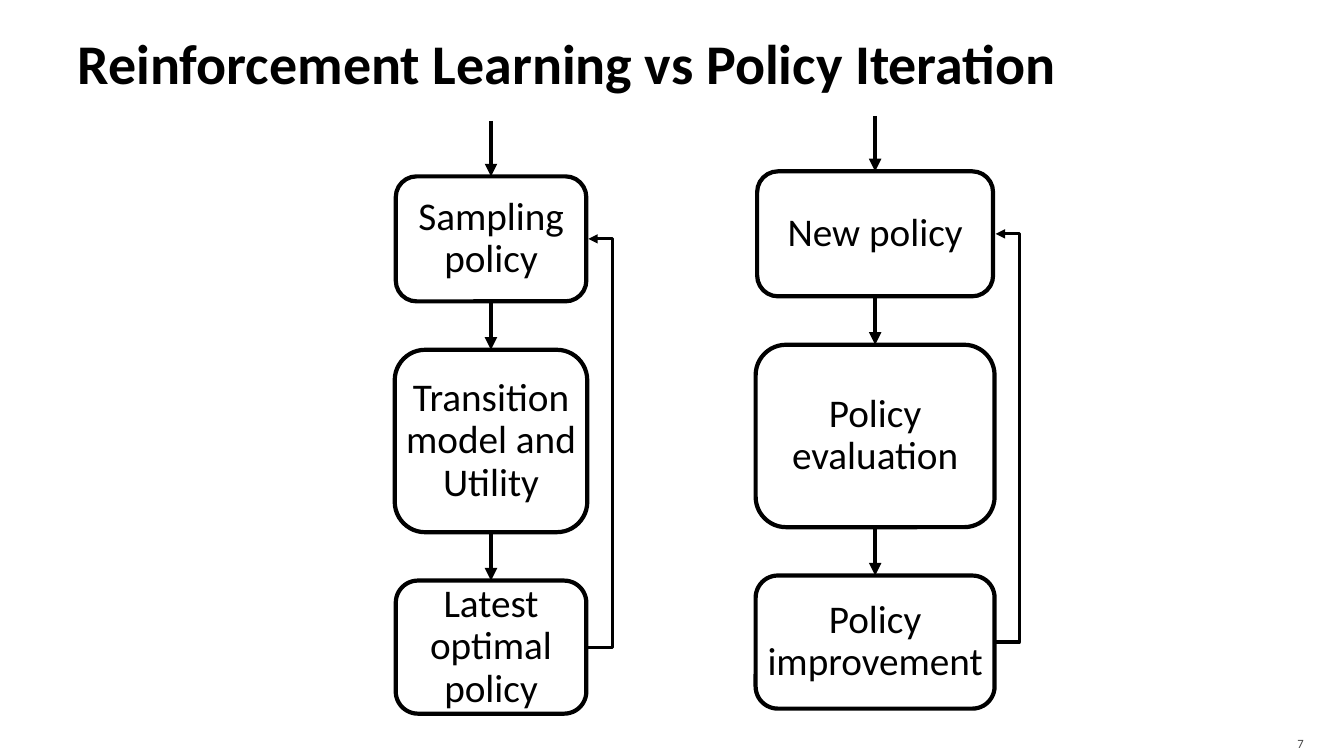
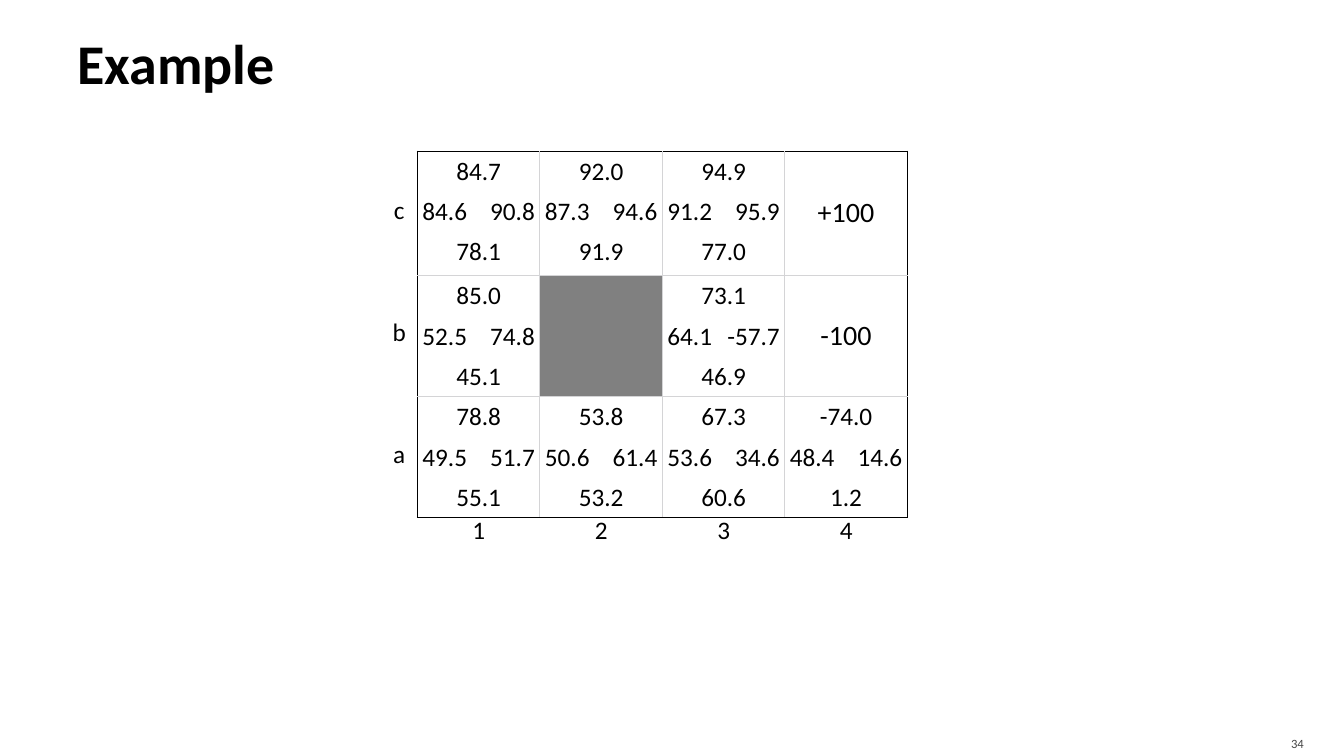
import lxml.etree
import pptx
import pptx.dml.color
import pptx.enum.shapes
import pptx.enum.text
import pptx.oxml.ns
import pptx.util

Inches = pptx.util.Inches
Pt = pptx.util.Pt
qn = pptx.oxml.ns.qn
ALIGN = pptx.enum.text.PP_ALIGN
ANCHOR = pptx.enum.text.MSO_ANCHOR
CONNECTOR = pptx.enum.shapes.MSO_CONNECTOR

BLACK = pptx.dml.color.RGBColor(0x00, 0x00, 0x00)
NUMBER_GRAY = pptx.dml.color.RGBColor(0x45, 0x45, 0x45)
GRID_GRAY = pptx.dml.color.RGBColor(0xD4, 0xD4, 0xD6)
WALL_GRAY = pptx.dml.color.RGBColor(0x80, 0x80, 0x80)
FONT = "Calibri"
TOP, BOTTOM = 0, 2

SAMPLING_STEPS = [
    ("Sampling policy", 1.89, 1.24),
    ("Transition model and Utility", 1.91, 1.81),
    ("Latest optimal policy", 1.89, 1.32),
]
ITERATION_STEPS = [
    ("New policy", 2.34, 1.24),
    ("Policy evaluation", 2.37, 1.81),
    ("Policy improvement", 2.37, 1.32),
]

WALL = None
UTILITIES = [
    [("84.7", "84.6", "90.8", "78.1"), ("92.0", "87.3", "94.6", "91.9"),
     ("94.9", "91.2", "95.9", "77.0"), "+100"],
    [("85.0", "52.5", "74.8", "45.1"), WALL,
     ("73.1", "64.1", "-57.7", "46.9"), "-100"],
    [("78.8", "49.5", "51.7", "55.1"), ("53.8", "50.6", "61.4", "53.2"),
     ("67.3", "53.6", "34.6", "60.6"), ("-74.0", "48.4", "14.6", "1.2")],
]


class Deck:
    def __init__(self):
        self.presentation = pptx.Presentation()
        self.presentation.slide_width = Inches(13.33)
        self.presentation.slide_height = Inches(7.5)
        self.slide = None

    def put_text(self, frame, text, size, align, color=BLACK, bold=False):
        frame.text = text
        paragraph = frame.paragraphs[0]
        paragraph.alignment = align
        for run in paragraph.runs:
            run.font.name = FONT
            run.font.size = Pt(size)
            run.font.bold = bold
            run.font.color.rgb = color
        return paragraph

    def set_margins(self, holder, left, top, right, bottom):
        holder.margin_left = Inches(left)
        holder.margin_top = Inches(top)
        holder.margin_right = Inches(right)
        holder.margin_bottom = Inches(bottom)

    def add_slide(self, heading, number):
        layout = self.presentation.slide_layouts[5]
        self.slide = self.presentation.slides.add_slide(layout)
        title = self.slide.shapes.title
        title.left, title.top = Inches(0.67), Inches(0.08)
        title.width, title.height = Inches(12), Inches(1.08)
        frame = title.text_frame
        frame.auto_size = pptx.enum.text.MSO_AUTO_SIZE.NONE
        frame.vertical_anchor = ANCHOR.MIDDLE
        self.set_margins(frame, 0.1, 0.05, 0.05, 0.05)
        self.put_text(frame, heading, 40, ALIGN.LEFT, bold=True)
        footer = self.label(number, 11.96, 7.2, 1.07, 0.3, 9, ALIGN.RIGHT, NUMBER_GRAY)
        footer.word_wrap = True
        footer.vertical_anchor = ANCHOR.MIDDLE
        self.set_margins(footer, 0.1, 0.05, 0.1, 0)

    def label(self, text, left, top, width, height, size, align, color=BLACK):
        box = self.slide.shapes.add_textbox(
            Inches(left), Inches(top), Inches(width), Inches(height))
        box.text_frame.word_wrap = False
        self.put_text(box.text_frame, text, size, align, color)
        return box.text_frame

    def step(self, text, center, top, width, height):
        box = self.slide.shapes.add_shape(
            pptx.enum.shapes.MSO_SHAPE.ROUNDED_RECTANGLE,
            Inches(center - width / 2), Inches(top), Inches(width), Inches(height))
        box.shadow.inherit = False
        box.fill.background()
        box.line.color.rgb = BLACK
        box.line.width = Pt(3)
        frame = box.text_frame
        frame.word_wrap = True
        frame.vertical_anchor = ANCHOR.MIDDLE
        self.set_margins(frame, 0, 0, 0, 0)
        self.put_text(frame, text, 28, ALIGN.CENTER).line_spacing = 0.9
        return box

    def arrow(self, kind, start, end, weight):
        connector = self.slide.shapes.add_connector(
            kind, *(Inches(value) for value in start + end))
        connector.line.color.rgb = BLACK
        connector.line.width = Pt(weight)
        properties = connector._element.spPr
        outline = properties.find(qn("a:ln"))
        lxml.etree.SubElement(outline, qn("a:tailEnd"), type="triangle")
        lxml.etree.SubElement(properties, qn("a:effectLst"))
        return connector

    def feedback(self, edge, start_y, end_y, reach):
        run = 0.01
        loop = self.arrow(CONNECTOR.ELBOW, (edge, start_y), (edge + run, end_y), 2.25)
        adjustments = loop._element.spPr.find(qn("a:prstGeom")).find(qn("a:avLst"))
        lxml.etree.SubElement(adjustments, qn("a:gd"), name="adj1",
                              fmla=f"val {round(reach / run * 100000)}")

    def cycle(self, steps, center, top):
        gap = 0.48
        entry = self.arrow(CONNECTOR.STRAIGHT, (center, top - 0.55), (center, top), 3)
        previous = None
        middles = []
        for text, width, height in steps:
            box = self.step(text, center, top, width, height)
            if previous is None:
                entry.end_connect(box, TOP)
            else:
                link = self.arrow(CONNECTOR.STRAIGHT, (center, top - gap), (center, top), 3)
                link.begin_connect(previous, BOTTOM)
                link.end_connect(box, TOP)
            middles.append(top + height / 2)
            top += height + gap
            previous = box
        edge = center + max(width for _, width, _ in steps) / 2
        self.feedback(edge, middles[-1], middles[0], 0.25)

    def border(self, cell, side, color):
        line = lxml.etree.SubElement(
            cell._tc.get_or_add_tcPr(), qn(f"a:ln{side}"), w=str(Pt(1)))
        if color is None:
            lxml.etree.SubElement(line, qn("a:noFill"))
        else:
            fill = lxml.etree.SubElement(line, qn("a:solidFill"))
            lxml.etree.SubElement(fill, qn("a:srgbClr"), val=str(color))

    def frame_cell(self, table, row, column):
        def edge_color(position, count, block):
            if position in (0, count):
                return BLACK
            return GRID_GRAY if position % block == 0 else None

        cell = table.cell(row, column)
        rows, columns = len(table.rows), len(table.columns)
        height = cell.span_height if cell.is_merge_origin else 1
        width = cell.span_width if cell.is_merge_origin else 1
        self.border(cell, "L", edge_color(column, columns, 2))
        self.border(cell, "R", edge_color(column + width, columns, 2))
        self.border(cell, "T", edge_color(row, rows, 3))
        self.border(cell, "B", edge_color(row + height, rows, 3))
        cell.fill.background()
        self.set_margins(cell, 0.05, 0.05, 0.05, 0.05)

    def state(self, table, row, column, content):
        first = table.cell(row, column)
        if isinstance(content, tuple):
            up, left, right, down = content
            for offset, value in ((0, up), (2, down)):
                cell = table.cell(row + offset, column)
                cell.merge(table.cell(row + offset, column + 1))
                self.put_text(cell.text_frame, value, 18, ALIGN.CENTER)
            self.put_text(table.cell(row + 1, column).text_frame, left, 18, ALIGN.LEFT)
            self.put_text(table.cell(row + 1, column + 1).text_frame, right, 18, ALIGN.RIGHT)
        else:
            first.merge(table.cell(row + 2, column + 1))
            first.vertical_anchor = ANCHOR.MIDDLE
            if content is not WALL:
                self.put_text(first.text_frame, content, 20, ALIGN.CENTER)

    def utility_grid(self, states, left, top, block_width, row_height):
        rows, columns = 3 * len(states), 2 * len(states[0])
        table = self.slide.shapes.add_table(
            rows, columns, Inches(left), Inches(top),
            Inches(block_width * columns / 2), Inches(row_height * rows)).table
        table.first_row = table.horz_banding = False
        for index, column in enumerate(table.columns):
            column.width = Inches(block_width - 0.58 if index % 2 else 0.58)
        for row in table.rows:
            row.height = Inches(row_height)
        for i, state_row in enumerate(states):
            for j, content in enumerate(state_row):
                self.state(table, 3 * i, 2 * j, content)
        for row in range(rows):
            for column in range(columns):
                self.frame_cell(table, row, column)
        for i, state_row in enumerate(states):
            for j, content in enumerate(state_row):
                if content is WALL:
                    wall = table.cell(3 * i, 2 * j)
                    wall.fill.solid()
                    wall.fill.fore_color.rgb = WALL_GRAY


def main():
    deck = Deck()
    deck.add_slide("Reinforcement Learning vs Policy Iteration", "7")
    deck.cycle(SAMPLING_STEPS, 4.87, 1.75)
    deck.cycle(ITERATION_STEPS, 8.68, 1.7)

    deck.add_slide("Example", "34")
    grid_left, block_width = 4.14, 4.86 / 4
    deck.utility_grid(UTILITIES, grid_left, 1.5, block_width, 0.4)
    label_width = 0.34
    for index, name in enumerate("1234"):
        left = grid_left + (index + 0.5) * block_width - label_width / 2
        deck.label(name, left, 5.05, label_width, 0.4, 18, ALIGN.CENTER)
    for index, name in enumerate("cba"):
        deck.label(name, 3.79, 1.88 + index * 1.21, label_width, 0.4, 18, ALIGN.CENTER)

    deck.presentation.save("out.pptx")


if __name__ == "__main__":
    main()
